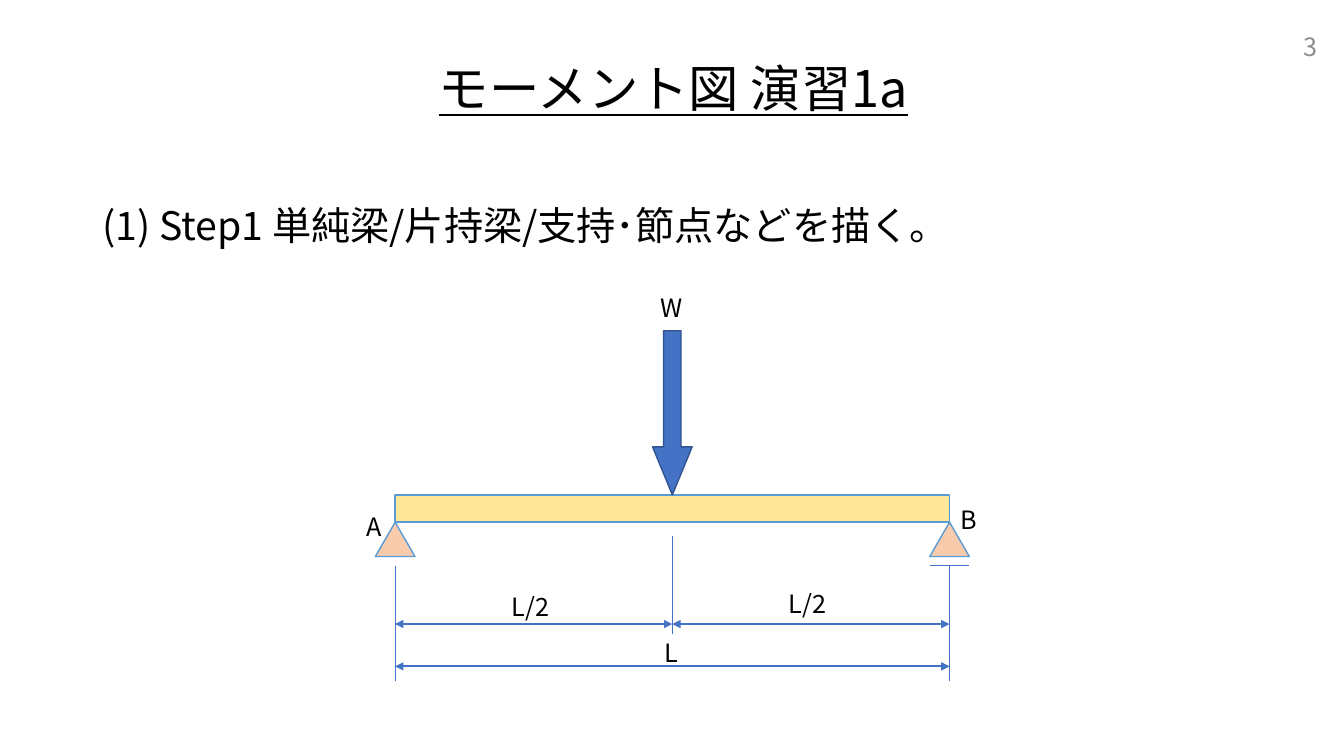
from lxml import etree
from pptx import Presentation
from pptx import util as u
from pptx.dml.color import RGBColor
from pptx.enum import shapes, text
from pptx.oxml.ns import qn

Pt = u.Pt
FONT = "Noto Sans CJK JP"
COLORS = {"text": "000000", "number": "8C8C8C", "beam": "FFE699", "support": "F8CBAD",
          "outline": "5B9BD5", "blue": "4472C4", "load_edge": "325491"}

# Content: wording and label positions (left, top, width)
TITLE = "モーメント図 演習1a"
STEP = "(1) Step1 単純梁/片持梁/支持･節点などを描く。"
PAGE_NUMBER = "3"
LABELS = [("L/2", 358.5, 418.5, 44.5), ("L/2", 556.5, 417, 44.5), ("W", 464.5, 205, 31.5),
          ("A", 255, 361.5, 26), ("B", 679, 357, 26.5), ("L", 467.5, 451.5, 25)]

# Beam geometry
LEFT, SPAN = 282.25, 396
MIDDLE, RIGHT = LEFT + SPAN / 2, LEFT + SPAN
BEAM_TOP, BEAM_HEIGHT = 353.5, 19.5
SUPPORT_TOP = BEAM_TOP + BEAM_HEIGHT
SUPPORT_WIDTH, SUPPORT_HEIGHT = 28.25, 24.5
LOAD_HEIGHT = 117.25
GROUND, HALF_ROW, FULL_ROW, EXTENSION_END = 404, 445.75, 476, 486.75


def color(name):
    return RGBColor.from_string(COLORS[name])


def write(box, words, size, name="text", align=text.PP_ALIGN.LEFT):
    box.text_frame.text = words
    para = box.text_frame.paragraphs[0]
    para.alignment = align
    font = para.runs[0].font
    font.name, font.size = FONT, Pt(size)
    font.color.rgb = color(name)
    etree.SubElement(font._element, qn("a:ea"), typeface=FONT)
    return para


def add_text(left, top, width, height, words, size, wrap=True, **style):
    box = page.shapes.add_textbox(Pt(left), Pt(top), Pt(width), Pt(height))
    box.text_frame.word_wrap = wrap
    return box, write(box, words, size, **style)


def add_part(kind, left, top, width, height, fill, edge="outline"):
    part = page.shapes.add_shape(kind, Pt(left), Pt(top), Pt(width), Pt(height))
    part.shadow.inherit = False
    part.fill.solid()
    part.fill.fore_color.rgb = color(fill)
    part.line.color.rgb = color(edge)
    part.line.width = Pt(1)
    return part


def add_line(x1, y1, x2, y2, width=0.5, arrows=False):
    line = page.shapes.add_connector(shapes.MSO_CONNECTOR.STRAIGHT,
                                     Pt(x1), Pt(y1), Pt(x2), Pt(y2))
    line.line.color.rgb = color("blue")
    line.line.width = Pt(width)
    if arrows:
        for end in ("a:headEnd", "a:tailEnd"):
            etree.SubElement(line.line._get_or_add_ln(), qn(end), type="triangle")
    etree.SubElement(line._element.spPr, qn("a:effectLst"))


deck = Presentation()
deck.slide_width, deck.slide_height = Pt(960), Pt(540)
page = deck.slides.add_slide(deck.slide_layouts[5])

# Title, page number and step
title = page.shapes.title
title.left, title.top, title.width, title.height = Pt(157), Pt(20), Pt(648), Pt(90)
para = write(title, TITLE, 36, align=text.PP_ALIGN.CENTER)
para.line_spacing = 0.9
para.runs[0].font.underline = True
title.text_frame.vertical_anchor = text.MSO_ANCHOR.MIDDLE
title.text_frame.auto_size = text.MSO_AUTO_SIZE.NONE

number, _ = add_text(732, 18.75, 216, 28.75, PAGE_NUMBER, 18,
                     name="number", align=text.PP_ALIGN.RIGHT)
number.text_frame.vertical_anchor = text.MSO_ANCHOR.MIDDLE

_, para = add_text(66, 144, 828, 342.5, STEP, 28)
para.line_spacing = 0.9
para.space_before = Pt(10)

# Beam, supports and load
SHAPE = shapes.MSO_SHAPE
add_part(SHAPE.RECTANGLE, LEFT, BEAM_TOP, SPAN, BEAM_HEIGHT, "beam")
for x in (LEFT, RIGHT):
    add_part(SHAPE.ISOSCELES_TRIANGLE, x - SUPPORT_WIDTH / 2, SUPPORT_TOP,
             SUPPORT_WIDTH, SUPPORT_HEIGHT, "support")
add_line(RIGHT - SUPPORT_WIDTH / 2, GROUND, RIGHT + SUPPORT_WIDTH / 2, GROUND)
load = add_part(SHAPE.DOWN_ARROW, MIDDLE - SUPPORT_WIDTH / 2, BEAM_TOP - LOAD_HEIGHT,
                SUPPORT_WIDTH, LOAD_HEIGHT, "blue", "load_edge")
load.adjustments[0], load.adjustments[1] = 0.44, 1.21

# Extension and dimension lines
for x, top, bottom in ((LEFT, GROUND, EXTENSION_END), (MIDDLE, 383, 453),
                       (RIGHT, GROUND, EXTENSION_END)):
    add_line(x, top, x, bottom)
for start, end, y in ((LEFT, MIDDLE, HALF_ROW), (MIDDLE, RIGHT, HALF_ROW),
                      (LEFT, RIGHT, FULL_ROW)):
    add_line(start, y, end, y, 1.5, arrows=True)

# Labels
for words, left, top, width in LABELS:
    label, _ = add_text(left, top, width, 29, words, 18, wrap=False)
    label.text_frame.auto_size = text.MSO_AUTO_SIZE.SHAPE_TO_FIT_TEXT

deck.save("out.pptx")
